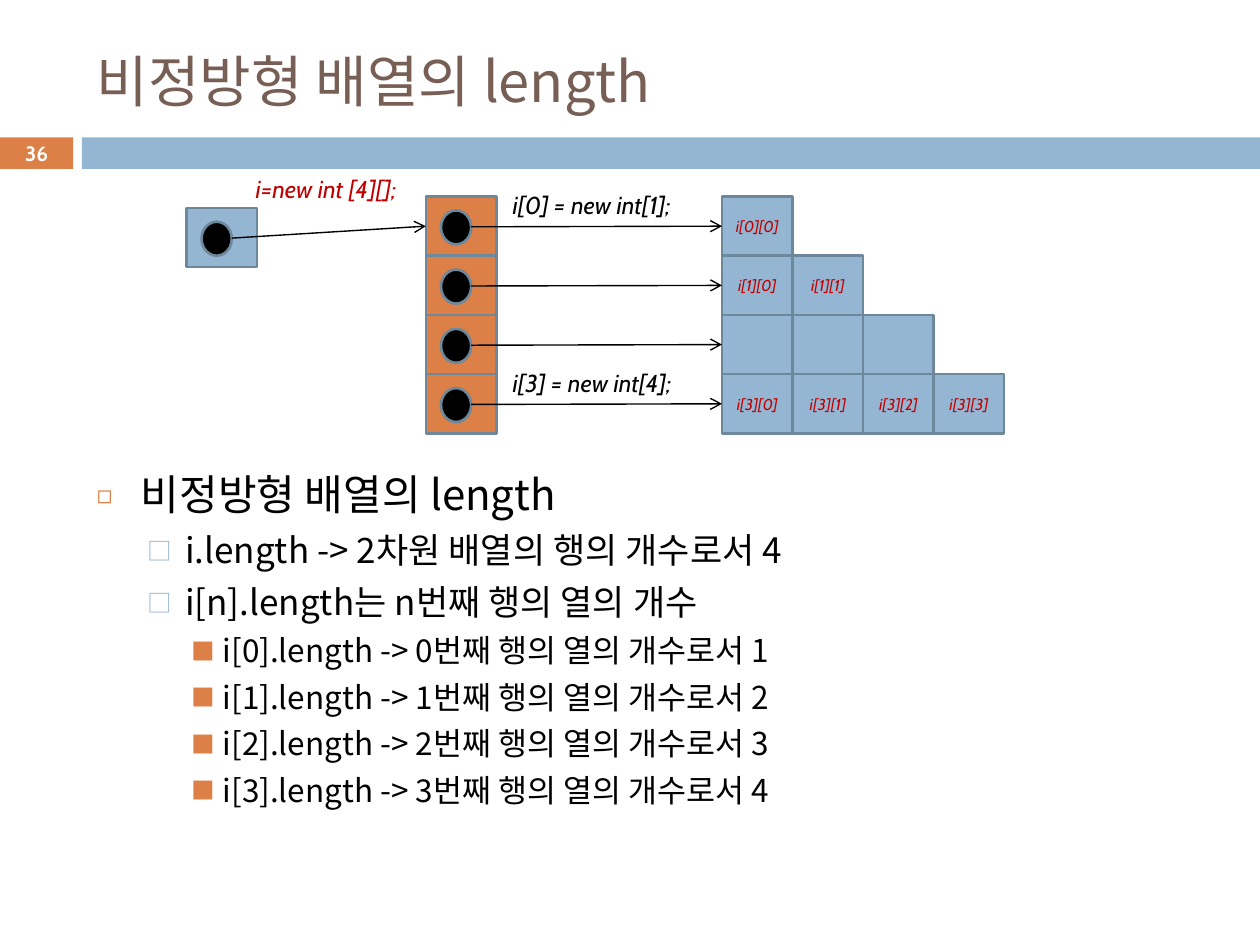
import pptx
import pptx.util
import pptx.dml.color
import pptx.enum.shapes
import pptx.enum.text
import pptx.oxml.ns
import lxml.etree

inch = pptx.util.Inches
pt = pptx.util.Pt
tint = pptx.dml.color.RGBColor.from_string
kinds = pptx.enum.shapes.MSO_SHAPE
mid = pptx.enum.text.MSO_ANCHOR.MIDDLE
center = pptx.enum.text.PP_ALIGN.CENTER
qn = pptx.oxml.ns.qn
sub = lxml.etree.SubElement

BLUE, ORANGE, EDGE = "94B6D2", "DD8047", "6D879B"
RED, BLACK, BROWN = "C00000", "000000", "775F55"
KOREAN, LATIN = "Noto Sans CJK KR", "Cabin"

deck = pptx.Presentation()
deck.slide_width, deck.slide_height = inch(10), inch(7.5)
slide = deck.slides.add_slide(deck.slide_layouts[6])
shapes = slide.shapes


def draw(kind, x, y, w, h, fill, edge=None):
    """Add a filled shape, outlined only when edge is given."""
    shape = shapes.add_shape(kind, inch(x), inch(y), inch(w), inch(h))
    shape.shadow.inherit = False
    shape.fill.solid()
    shape.fill.fore_color.rgb = tint(fill)
    if edge:
        shape.line.color.rgb = tint(edge)
        shape.line.width = pt(1.5)
    else:
        shape.line.fill.background()
    return shape


def style(para, text, size, hue, face=LATIN, bold=False, slant=False):
    """Fill a paragraph with text in one font."""
    para.text = text
    font = para.font
    font.size, font.name = pt(size), face
    font.bold, font.italic = bold, slant
    font.color.rgb = tint(hue)
    sub(para._p.pPr.find(qn("a:defRPr")), qn("a:ea"), typeface=face)


# Header band, page number and title
badge = draw(kinds.RECTANGLE, 0, 1.09, 0.58, 0.25, ORANGE)
draw(kinds.RECTANGLE, 0.65, 1.09, 9.35, 0.25, BLUE)
frame = badge.text_frame
frame.vertical_anchor = mid
frame.margin_top = frame.margin_bottom = 0
style(frame.paragraphs[0], "36", 11.9, "FFFFFF", bold=True)
frame.paragraphs[0].alignment = center

title = shapes.add_textbox(inch(0.67), inch(0.25), inch(8.92), inch(0.77)).text_frame
title.word_wrap = True
title.vertical_anchor = mid
style(title.paragraphs[0], "비정방형 배열의 length", 32, BROWN, KOREAN)

# Array diagram: one reference, four row references, rows of growing length
COL, ROW, TOP = 0.56, 0.47, 1.56
REFS, CELLS = 3.38, 5.73
slots = [(1.48, 1.65, BLUE)] + [(REFS, TOP + n * ROW, ORANGE) for n in range(4)]
starts, boxes = [], []
for x, y, hue in slots:
    boxes.append(draw(kinds.RECTANGLE, x, y, COL, ROW, hue, EDGE))
    draw(kinds.FLOWCHART_CONNECTOR, x + 0.12, y + 0.11, 0.24, 0.27, BLACK, EDGE)
    starts.append((x + 0.36, y + 0.24))

goals = [boxes[1]]
for row in range(4):
    for col in range(row + 1):
        cell = draw(kinds.RECTANGLE, CELLS + col * COL, TOP + row * ROW,
                    COL, ROW, BLUE, EDGE)
        if col == 0:
            goals.append(cell)
        if row == 2:
            continue
        frame = cell.text_frame
        frame.margin_left = frame.margin_right = 0
        frame.margin_top = frame.margin_bottom = 0
        frame.vertical_anchor = mid
        style(frame.paragraphs[0], f"i[{row}][{col}]", 9, RED, slant=True)
        frame.paragraphs[0].alignment = center

for (x, y), goal in zip(starts, goals):
    arrow = shapes.add_connector(pptx.enum.shapes.MSO_CONNECTOR.STRAIGHT,
                                 inch(x), inch(y), inch(x), inch(y))
    arrow.end_connect(goal, 1)
    arrow.line.color.rgb = tint(BLACK)
    arrow.line.width = pt(0.79)
    sub(arrow.line._get_or_add_ln(), qn("a:tailEnd"), type="arrow")
    sub(arrow._element.spPr, qn("a:effectLst"))

labels = [
    (1.93, 1.33, 1.38, "i=new int [4][];", RED),
    (3.97, 1.46, 1.54, "i[0] = new int[1];", BLACK),
    (3.97, 1.46 + 3 * ROW, 1.54, "i[3] = new int[4];", BLACK),
]
for x, y, w, text, hue in labels:
    frame = shapes.add_textbox(inch(x), inch(y), inch(w), inch(0.34)).text_frame
    frame.word_wrap = False
    style(frame.paragraphs[0], text, 14, hue, slant=True)

# Bulleted text: indent, hang, space before, bullet, its colour and share, size
levels = [
    (0.35, 0.35, 0, "◻", ORANGE, 60, 24),
    (0.7, 0.3, 5.5, "□", BLUE, 70, 20),
    (1, 0.25, 5, "■", ORANGE, 75, 18),
]
lines = [
    (0, "비정방형 배열의 length"),
    (1, "i.length -> 2차원 배열의 행의 개수로서 4"),
    (1, "i[n].length는 n번째 행의 열의 개수"),
] + [(2, f"i[{n}].length -> {n}번째 행의 열의 개수로서 {n + 1}") for n in range(4)]

body = shapes.add_textbox(inch(0.67), inch(3.67), inch(8.92), inch(3.52)).text_frame
body.word_wrap = True
for n, (level, text) in enumerate(lines):
    left, hang, gap, mark, hue, share, size = levels[level]
    para = body.paragraphs[0] if n == 0 else body.add_paragraph()
    para.level = level
    para.space_before = pt(gap)
    props = para._p.get_or_add_pPr()
    props.set("marL", str(inch(left)))
    props.set("indent", str(-inch(hang)))
    sub(sub(props, qn("a:buClr")), qn("a:srgbClr"), val=hue)
    sub(props, qn("a:buSzPct"), val=str(share * 1000))
    sub(props, qn("a:buFont"), typeface=KOREAN)
    sub(props, qn("a:buChar"), char=mark)
    style(para, text, size, BLACK, KOREAN)

deck.save("out.pptx")
